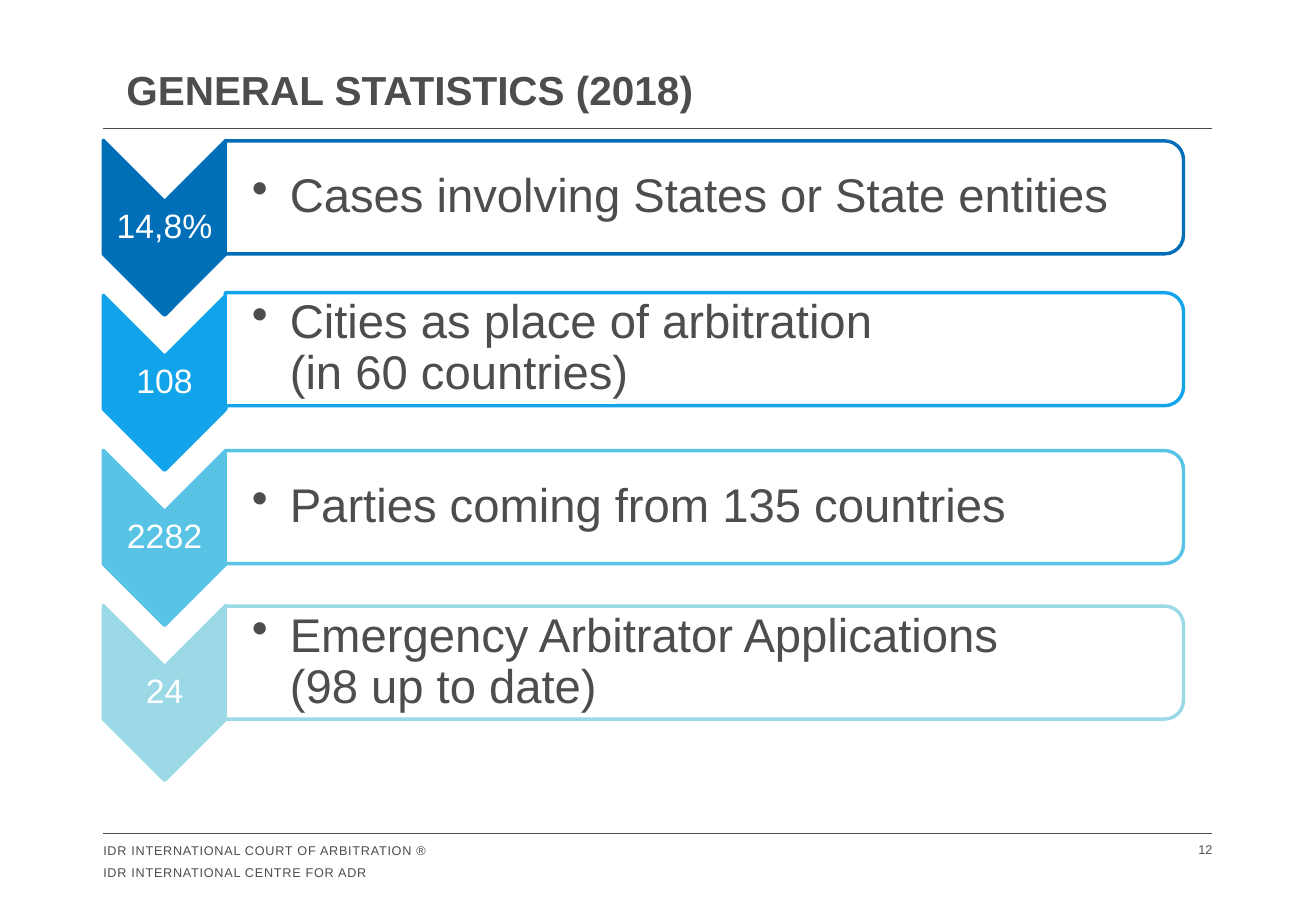
from lxml import etree
from pptx import Presentation
from pptx import util as u
from pptx.dml import color
from pptx.enum import shapes, text
from pptx.oxml import ns

TITLE = "GENERAL STATISTICS (2018)"
STATISTICS = [
    ("14,8%", "Cases involving States or State entities", "006FB8", 83.5),
    ("108", "Cities as place of arbitration\v(in 60 countries)", "11A4EA", 173.5),
    ("2282", "Parties coming from 135 countries", "59C3E5", 267.1),
    ("24", "Emergency Arbitrator Applications\v(98 up to date)", "9BD9E6", 359.3),
]
FOOTER = ["IDR INTERNATIONAL COURT OF ARBITRATION ®",
          "IDR INTERNATIONAL CENTRE FOR ADR"]
PAGE = "12"
GREY, WHITE, FONT = "4D4D4F", "FFFFFF", "Arial"

LEFT, RIGHT = 61.2, 718.6
RULES = (76.3, 493.9)
CHEVRON_W, CHEVRON_H = 72.7, 103.7
CHEVRON_TOP, PITCH = 83.2, 91.9
BAR_LEFT, BAR_W, BAR_H = 133.5, 568, 67
BAR_TEXT_DROP, BAR_TEXT_H = 3.1, 60.5
LABEL_H = 31

prs = Presentation()
prs.slide_width, prs.slide_height = u.Pt(780), u.Pt(540)
slide = prs.slides.add_slide(prs.slide_layouts[6])


def rgb(value):
    return color.RGBColor.from_string(value)


def add_text(lines, left, top, width, height, size, ink=GREY, bold=False,
             align=text.PP_ALIGN.LEFT, anchor=text.MSO_ANCHOR.TOP,
             insets=(0, 0, 0, 0), spacing=1.0, before=0, tracking=0, hanging=0):
    frame = slide.shapes.add_textbox(
        u.Pt(left), u.Pt(top), u.Pt(width), u.Pt(height)).text_frame
    frame.word_wrap, frame.vertical_anchor = True, anchor
    (frame.margin_left, frame.margin_top,
     frame.margin_right, frame.margin_bottom) = [u.Pt(i) for i in insets]
    for index, line in enumerate(lines):
        paragraph = frame.add_paragraph() if index else frame.paragraphs[0]
        paragraph.text, paragraph.alignment = line, align
        paragraph.line_spacing = spacing
        if index:
            paragraph.space_before = u.Pt(before)
        if hanging:
            props = paragraph._p.get_or_add_pPr()
            props.set("marL", str(u.Pt(hanging)))
            props.set("indent", str(-u.Pt(hanging)))
            etree.SubElement(props, ns.qn("a:buChar")).set("char", "•")
        for run in paragraph.runs:
            run.font.name, run.font.size, run.font.bold = FONT, u.Pt(size), bold
            run.font.color.rgb = rgb(ink)
            if tracking:
                run._r.get_or_add_rPr().set("spc", str(round(tracking * 100)))


def add_turned(kind, left, top, width, height, fill, line):
    shift = (width - height) / 2
    shape = slide.shapes.add_shape(kind, u.Pt(left + shift), u.Pt(top - shift),
                                   u.Pt(height), u.Pt(width))
    shape.rotation = 90
    shape.shadow.inherit = False
    shape.fill.solid()
    shape.fill.fore_color.rgb = rgb(fill)
    shape.line.color.rgb, shape.line.width = rgb(line), u.Pt(2)


def add_rule(y):
    rule = slide.shapes.add_connector(
        shapes.MSO_CONNECTOR.STRAIGHT, u.Pt(LEFT), u.Pt(y), u.Pt(RIGHT), u.Pt(y))
    rule.line.color.rgb, rule.line.width = rgb(GREY), u.Pt(0.5)
    etree.SubElement(rule._element.spPr, ns.qn("a:effectLst"))


for rule_y in RULES:
    add_rule(rule_y)
add_text(FOOTER, LEFT, 496.8, 300, 27, 7.5, insets=(0, 2.9, 0, 0),
         before=4, tracking=0.4)
add_text([PAGE], RIGHT - 40, 496.1, 40, 29, 7.5, insets=(0, 2.9, 0, 0),
         align=text.PP_ALIGN.RIGHT)

for row, (figure, meaning, tint, bar_top) in enumerate(STATISTICS):
    chevron_top = CHEVRON_TOP + row * PITCH
    add_turned(shapes.MSO_SHAPE.CHEVRON, LEFT, chevron_top,
               CHEVRON_W, CHEVRON_H, tint, tint)
    add_text([figure], LEFT, chevron_top + CHEVRON_W / 2, CHEVRON_W, LABEL_H, 20,
             ink=WHITE, align=text.PP_ALIGN.CENTER,
             anchor=text.MSO_ANCHOR.MIDDLE, spacing=0.9)
    add_turned(shapes.MSO_SHAPE.ROUND_2_SAME_RECTANGLE, BAR_LEFT, bar_top,
               BAR_W, BAR_H, WHITE, tint)
    add_text([meaning], BAR_LEFT, bar_top + BAR_TEXT_DROP, BAR_W, BAR_TEXT_H, 28,
             anchor=text.MSO_ANCHOR.MIDDLE, insets=(15.8, 1.4, 1.4, 1.4),
             spacing=0.9, hanging=22.5)

add_text([TITLE], 74.9, 42, 620, 28, 24, bold=True, spacing=0.9)

prs.save("out.pptx")
